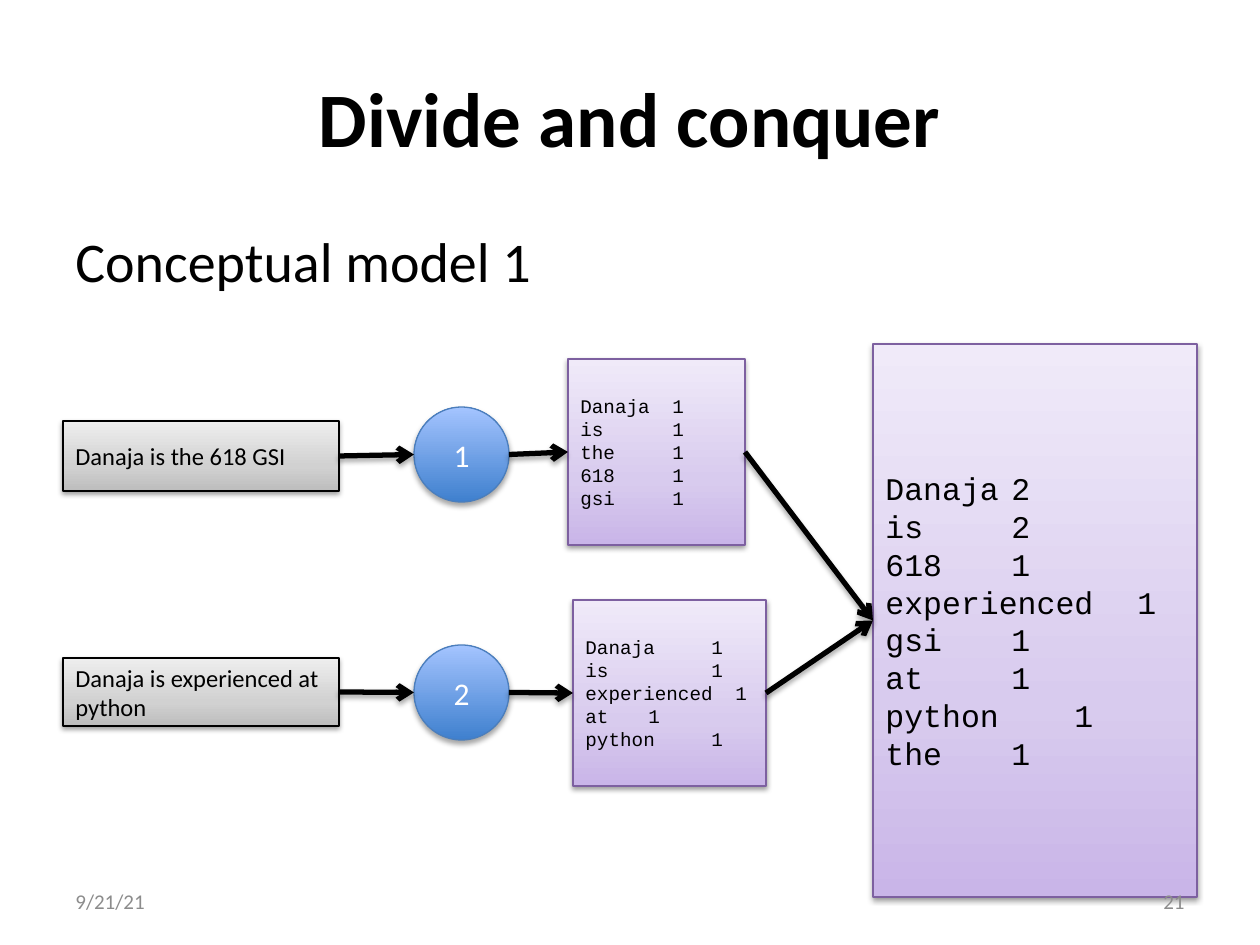
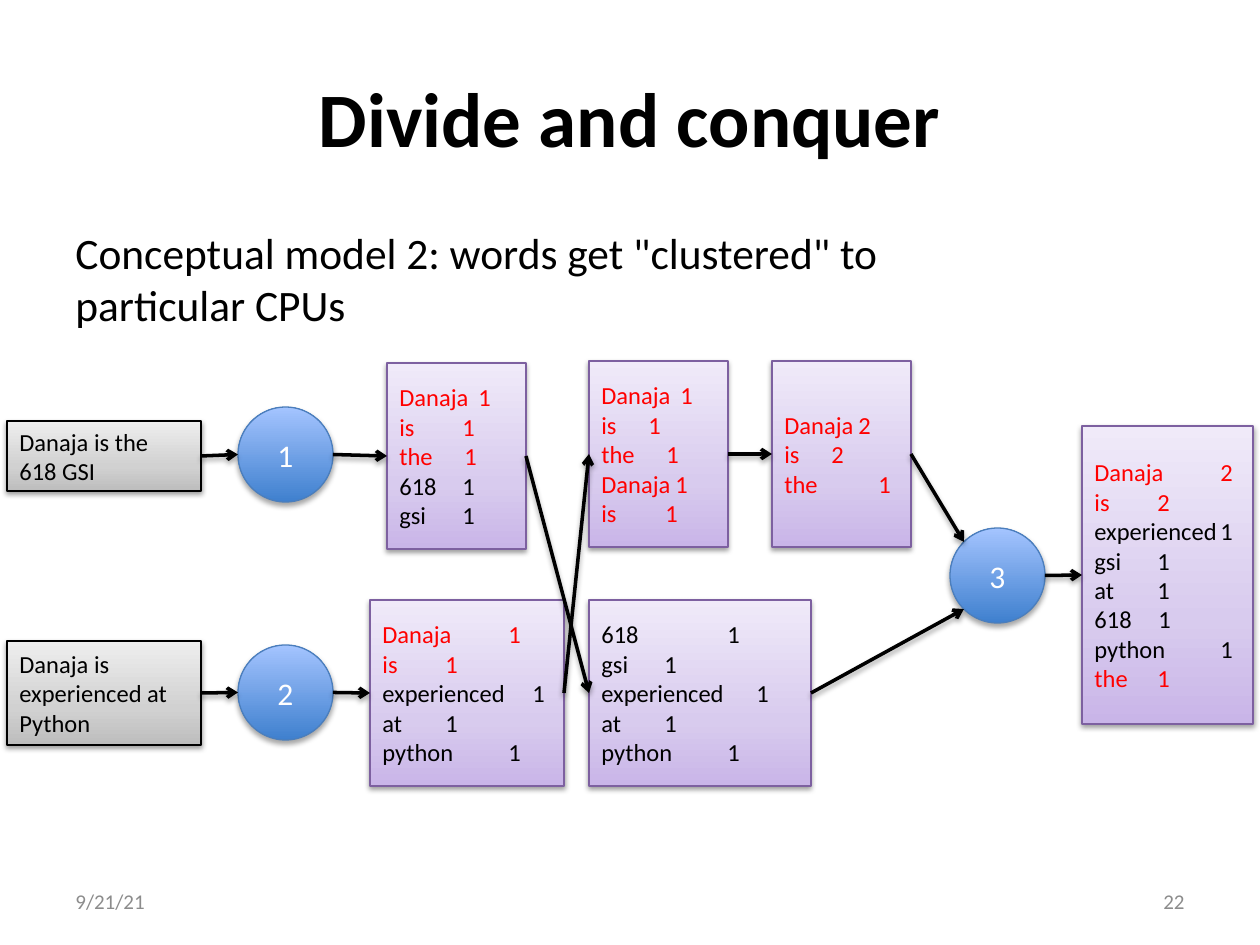
"""Two slides that show word counting split over several CPUs."""
from math import sqrt

from lxml.etree import SubElement
from pptx import Presentation
from pptx.dml.color import RGBColor
from pptx.enum.shapes import MSO_CONNECTOR as Connector, MSO_SHAPE as Shape
from pptx.enum.text import MSO_ANCHOR as Anchor, PP_ALIGN as Align
from pptx.oxml.ns import qn
from pptx.util import Emu, Pt

PX = 914400 / 126
BLACK = RGBColor(0x00, 0x00, 0x00)
WHITE = RGBColor(0xFF, 0xFF, 0xFF)
RED = RGBColor(0xFF, 0x00, 0x00)
GREY = RGBColor(0x8C, 0x8C, 0x8C)
PURPLE = RGBColor(0x7D, 0x60, 0xA0)
BLUE = RGBColor(0x4B, 0x7E, 0xBC)

GREY_STOPS = [(0, RGBColor(0xBD, 0xBD, 0xBD)), (35, RGBColor(0xD1, 0xD1, 0xD1)),
              (100, RGBColor(0xEE, 0xEE, 0xEE))]
PURPLE_STOPS = [(0, RGBColor(0xC9, 0xB5, 0xE8)), (35, RGBColor(0xD8, 0xCB, 0xEE)),
                (100, RGBColor(0xF0, 0xEA, 0xF9))]
BLUE_STOPS = [(0, RGBColor(0x3F, 0x80, 0xCE)), (100, RGBColor(0xA4, 0xC4, 0xFF))]

KINDS = {
    "input": dict(outline=Shape.RECTANGLE, stops=GREY_STOPS, line=BLACK, shadow=38),
    "counts": dict(outline=Shape.RECTANGLE, stops=PURPLE_STOPS, line=PURPLE, shadow=38),
    "cpu": dict(outline=Shape.OVAL, stops=BLUE_STOPS, line=BLUE, shadow=35),
}
CPU_SIZE = 95
CPU_TEXT = dict(size=18, color=WHITE, align=Align.CENTER)
MONO = "Courier New"

TITLE = "Divide and conquer"
DATE = "9/21/21"
CLUSTERED_WORDS = {"Danaja", "is", "the"}

SLIDES = [
    dict(
        number="21", heading="Conceptual model 1", heading_box=(63, 220, 505, 103),
        heading_size=32, arrow_width=3, highlight=set(),
        nodes={
            "input 1": ("input", (63, 421, 276, 70), ["Danaja is the 618 GSI"], {}),
            "input 2": ("input", (63, 658, 276, 68), ["Danaja is experienced at python"], {}),
            "total": ("counts", (873, 344, 324, 553), [
                ("Danaja", 2, 126), ("is", 2, 126), ("618", 1, 126),
                ("experienced", 1, 252), ("gsi", 1, 126), ("at", 1, 126),
                ("python", 1, 189), ("the", 1, 126)], dict(size=18, font=MONO)),
            "cpu 1": ("cpu", (414, 407, CPU_SIZE, CPU_SIZE), ["1"], CPU_TEXT),
            "cpu 2": ("cpu", (414, 645, CPU_SIZE, CPU_SIZE), ["2"], CPU_TEXT),
            "counts 1": ("counts", (568, 359, 177, 186), [
                (word, 1, 92) for word in ("Danaja", "is", "the", "618", "gsi")],
                dict(size=11, font=MONO)),
            "counts 2": ("counts", (573, 600, 193, 186), [
                ("Danaja", 1, 126), ("is", 1, 126), ("experienced", 1, 150),
                ("at", 1, 63), ("python", 1, 126)], dict(size=11, font=MONO)),
        },
        arrows=[("input 1", "cpu 1", "left"), ("cpu 1", "counts 1", "left"),
                ("input 2", "cpu 2", "left"), ("cpu 2", "counts 2", "left"),
                ("counts 1", "total", "left"), ("counts 2", "total", "left")],
    ),
    dict(
        number="22", heading='Conceptual model 2: words get "clustered" to particular CPUs',
        heading_box=(63, 220, 976, 100), heading_size=24.8, arrow_width=2,
        highlight=CLUSTERED_WORDS,
        nodes={
            "input 1": ("input", (7, 421, 194, 70), ["Danaja is the 618 GSI"], {}),
            "input 2": ("input", (7, 641, 194, 104), ["Danaja is experienced at Python"], {}),
            "total": ("counts", (1082, 426, 171, 298), [
                ("Danaja", 2, 126), ("is", 2, 63), ("experienced", 1, 126),
                ("gsi", 1, 63), ("at", 1, 63), ("618", 1, 64),
                ("python", 1, 126), ("the", 1, 63)], {}),
            "cpu 1": ("cpu", (238, 407, CPU_SIZE, CPU_SIZE), ["1"], CPU_TEXT),
            "cpu 2": ("cpu", (238, 645, CPU_SIZE, CPU_SIZE), ["2"], CPU_TEXT),
            "cpu 3": ("cpu", (950, 528, CPU_SIZE, CPU_SIZE), ["3"], CPU_TEXT),
            "counts 1": ("counts", (387, 363, 139, 186), [
                ("Danaja", 1, 79), ("is", 1, 63), ("the", 1, 65),
                ("618", 1, 63), ("gsi", 1, 63)], {}),
            "counts 2": ("counts", (370, 600, 194, 186), [
                ("Danaja", 1, 126), ("is", 1, 63), ("experienced", 1, 150),
                ("at", 1, 63), ("python", 1, 126)], {}),
            "cluster 1": ("counts", (589, 361, 139, 186), [
                ("Danaja", 1, 79), ("is", 1, 47), ("the", 1, 65),
                ("Danaja", 1, 74), ("is", 1, 64)], {}),
            "cluster 2": ("counts", (589, 600, 222, 186), [
                ("618", 1, 126), ("gsi", 1, 63), ("experienced", 1, 155),
                ("at", 1, 63), ("python", 1, 126)], {}),
            "sums": ("counts", (772, 361, 139, 186), [
                ("Danaja", 2, 74), ("is", 2, 47), ("the", 1, 94)], {}),
        },
        arrows=[("input 1", "cpu 1", "left"), ("cpu 1", "counts 1", "left"),
                ("input 2", "cpu 2", "left"), ("cpu 2", "counts 2", "left"),
                ("counts 1", "cluster 2", "left"), ("counts 2", "cluster 1", "left"),
                ("cluster 1", "sums", "left"), ("sums", "cpu 3", "upper left"),
                ("cluster 2", "cpu 3", "lower left"), ("cpu 3", "total", "left")],
    ),
]


def px(length):
    return Emu(round(length * PX))


def write_text(shape, lines, size=14, font="Calibri", color=BLACK, bold=False,
               align=Align.LEFT, anchor=Anchor.MIDDLE, before=0, highlight=()):
    frame = shape.text_frame
    frame.word_wrap = True
    frame.vertical_anchor = anchor
    for index, line in enumerate(lines):
        paragraph = frame.paragraphs[0] if index == 0 else frame.add_paragraph()
        paragraph.alignment = align
        paragraph.space_before = Pt(before)
        run = paragraph.add_run()
        word = line
        if isinstance(line, tuple):
            word, count, tab = line
            stops = SubElement(paragraph._p.get_or_add_pPr(), qn("a:tabLst"))
            SubElement(stops, qn("a:tab"), pos=str(px(tab)), algn="l")
            line = f"{word}\t{count}"
        run.text = line
        run.font.size, run.font.name, run.font.bold = Pt(size), font, bold
        run.font.color.rgb = RED if word in highlight else color


def add_text(slide, box, text, **text_format):
    write_text(slide.shapes.add_textbox(*map(px, box)), [text], **text_format)


def add_color(parent, color, **attributes):
    element = SubElement(parent, qn("a:srgbClr"), val=str(color))
    for name, value in attributes.items():
        SubElement(element, qn(f"a:{name}"), val=str(value))


def add_shadow(shape, opacity, distance):
    effects = SubElement(shape._element.spPr, qn("a:effectLst"))
    shadow = SubElement(effects, qn("a:outerShdw"), blurRad=str(Pt(3.1)),
                        dist=str(Pt(distance)), dir="5400000", rotWithShape="0")
    add_color(shadow, BLACK, alpha=opacity * 1000)


def add_node(slide, box, outline, stops, line, shadow):
    shape = slide.shapes.add_shape(outline, *map(px, box))
    gradient = SubElement(shape._element.spPr, qn("a:gradFill"), rotWithShape="1")
    stop_list = SubElement(gradient, qn("a:gsLst"))
    for position, color in stops:
        add_color(SubElement(stop_list, qn("a:gs"), pos=str(position * 1000)), color)
    SubElement(gradient, qn("a:lin"), ang="16200000", scaled="0")
    shape.line.color.rgb = line
    shape.line.width = Pt(0.75)
    add_shadow(shape, shadow, 1.6 if outline == Shape.RECTANGLE else 1.8)
    return shape


def edge_point(box, side):
    left, top, width, height = box
    diagonal = (1 - sqrt(0.5)) / 2
    across, down = {"left": (0, 0.5), "right": (1, 0.5), "upper left": (diagonal, diagonal),
                    "lower left": (diagonal, 1 - diagonal)}[side]
    return px(left + across * width), px(top + down * height)


def add_arrow(slide, nodes, shapes, source, target, side, width):
    start = edge_point(nodes[source][1], "right")
    end = edge_point(nodes[target][1], side)
    arrow = slide.shapes.add_connector(Connector.STRAIGHT, *start, *end)
    if nodes[source][0] != "cpu":
        arrow.begin_connect(shapes[source], 3)
    if nodes[target][0] != "cpu":
        arrow.end_connect(shapes[target], 1)
    arrow.line.color.rgb = BLACK
    arrow.line.width = Pt(width)
    SubElement(arrow.line._get_or_add_ln(), qn("a:tailEnd"), type="arrow")
    add_shadow(arrow, 35, 1.8)


def build_slide(presentation, content):
    slide = presentation.slides.add_slide(presentation.slide_layouts[6])
    add_text(slide, content["heading_box"], content["heading"],
             size=content["heading_size"], anchor=Anchor.TOP, before=2)
    add_text(slide, (63, 38, 1134, 157), TITLE, size=44, bold=True, align=Align.CENTER)
    nodes, shapes = content["nodes"], {}
    for name, (kind, box, lines, text_format) in nodes.items():
        shapes[name] = add_node(slide, box, **KINDS[kind])
        write_text(shapes[name], lines, highlight=content["highlight"], **text_format)
    for source, target, side in content["arrows"]:
        add_arrow(slide, nodes, shapes, source, target, side, content["arrow_width"])
    add_text(slide, (63, 876, 294, 50), DATE, size=12, color=GREY)
    add_text(slide, (903, 876, 294, 50), content["number"], size=12, color=GREY,
             align=Align.RIGHT)


def main():
    presentation = Presentation()
    presentation.slide_width, presentation.slide_height = px(1260), px(945)
    for content in SLIDES:
        build_slide(presentation, content)
    presentation.save("out.pptx")


if __name__ == "__main__":
    main()
